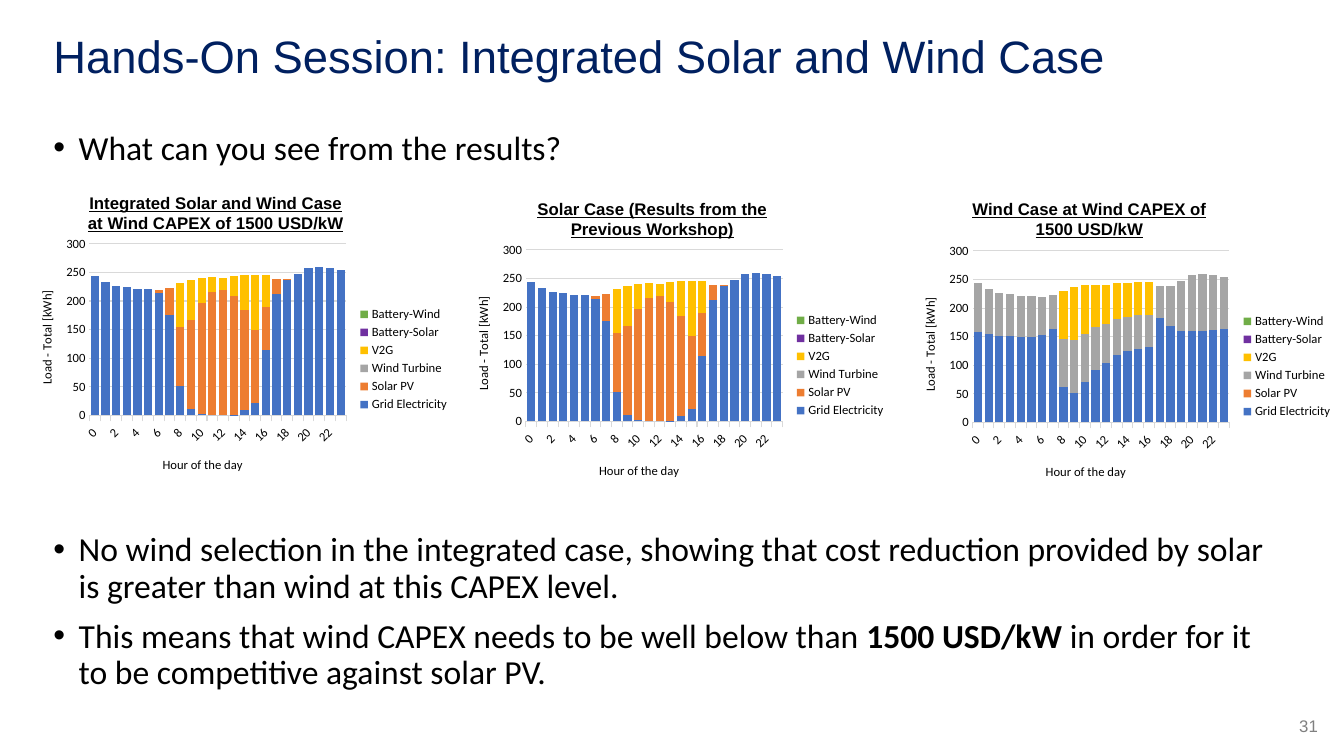
import pptx
import pptx.chart.data
import pptx.dml.color
import pptx.enum.chart
import pptx.enum.text
import pptx.oxml
import pptx.oxml.ns
import pptx.util

Inches = pptx.util.Inches
Pt = pptx.util.Pt
Align = pptx.enum.text.PP_ALIGN
Anchor = pptx.enum.text.MSO_ANCHOR
Tick = pptx.enum.chart.XL_TICK_MARK

HUES = {
    "title": "002060", "text": "000000", "page": "808080", "grid": "D9D9D9",
    "Grid Electricity": "4472C4", "Solar PV": "ED7D31", "Wind Turbine": "A5A5A5",
    "V2G": "FFC000", "Battery-Solar": "7030A0", "Battery-Wind": "70AD47",
}
SOURCES = ["Grid Electricity", "Solar PV", "Wind Turbine", "V2G", "Battery-Solar", "Battery-Wind"]
HOURS = 24
SOLAR = {
    "Grid Electricity": [243, 234, 227, 224, 221, 221, 214, 176, 52, 12, 2, 0,
                         0, 1, 10, 22, 114, 212, 238, 248, 258, 259, 257, 254],
    "Solar PV": [0] * 6 + [6, 47, 102, 155, 194, 216, 219, 207, 174, 127, 75, 27, 1] + [0] * 5,
    "V2G": [0] * 8 + [77, 70, 45, 26, 21, 35, 61, 96, 56] + [0] * 7,
}
BREEZE = [85, 80, 76, 73, 71, 71, 67, 59, 84, 93, 85, 75,
          68, 63, 60, 59, 57, 56, 71, 89, 99, 99, 96, 90]
WIND = {
    "Grid Electricity": [158, 154, 151, 151, 150, 150, 153, 164, 62, 51, 70, 91,
                         104, 117, 124, 128, 131, 183, 168, 159, 159, 160, 161, 164],
    "Wind Turbine": BREEZE,
    "V2G": [0] * 8 + BREEZE[8:17] + [0] * 7,
}
CASES = [
    ("Integrated Solar and Wind Case at Wind CAPEX of 1500 USD/kW", SOLAR,
     (0.14, 2.29), (0.8, 1.93, 2.68, 0.36)),
    ("Solar Case (Results from the Previous Workshop)", SOLAR,
     (4.47, 2.35), (5.13, 1.99, 2.68, 0.36)),
    ("Wind Case at Wind CAPEX of 1500 USD/kW", WIND,
     (8.9, 2.36), (9.54, 1.99, 2.53, 0.36)),
]
POINTS = [
    ["What can you see from the results?"],
    ["No wind selection in the integrated case, showing that cost reduction "
     "provided by solar is greater than wind at this CAPEX level."],
    ["This means that wind CAPEX needs to be well below than ", "1500 USD/kW",
     " in order for it to be competitive against solar PV."],
]
GAPS = [0, 261, 10]


def color(name):
    return pptx.dml.color.RGBColor.from_string(HUES[name])


def style(font, face, size, hue, bold=False):
    font.name, font.size, font.bold = face, Pt(size), bold
    font.color.rgb = color(hue)


def place(shape, box):
    shape.left, shape.top, shape.width, shape.height = map(Inches, box)


def add_label(slide, text, box, size, hue, align, head=False):
    frame = slide.shapes.add_textbox(*map(Inches, box)).text_frame
    frame.word_wrap = True
    frame.vertical_anchor = Anchor.MIDDLE
    if head:
        frame.margin_left = frame.margin_right = frame.margin_top = frame.margin_bottom = 0
    para = frame.paragraphs[0]
    para.text = text
    para.alignment = align
    style(para.font, "Arial", size, hue, head)
    para.font.underline = head


def set_layout(node, index, inner=False, **sizes):
    for old in node.findall(pptx.oxml.ns.qn("c:layout")):
        node.remove(old)
    target = '<c:layoutTarget val="inner"/>' if inner else ""
    modes = "".join(f'<c:{key}Mode val="edge"/>' for key in "xy")
    parts = "".join(f'<c:{key} val="{size}"/>' for key, size in sizes.items())
    node.insert(index, pptx.oxml.parse_xml(
        f'<c:layout {pptx.oxml.ns.nsdecls("c")}><c:manualLayout>'
        f'{target}{modes}{parts}</c:manualLayout></c:layout>'))


def name_axis(axis, text, x, y):
    axis.has_title = True
    para = axis.axis_title.text_frame.paragraphs[0]
    para.text = text
    style(para.font, "Calibri", 9, "text")
    set_layout(axis.axis_title._element, 1, x=x, y=y)
    style(axis.tick_labels.font, "Calibri", 9, "text")


def add_load(slide, spot, loads):
    data = pptx.chart.data.CategoryChartData()
    data.categories = [str(hour) for hour in range(HOURS)]
    for name in SOURCES:
        data.add_series(name, loads.get(name, [0] * HOURS))
    kind = pptx.enum.chart.XL_CHART_TYPE.COLUMN_STACKED
    chart = slide.shapes.add_chart(kind, *map(Inches, (*spot, 4.39, 2.58)), data).chart
    chart.has_title = False
    style(chart.font, "Calibri", 10, "text")
    plot = chart.plots[0]
    plot.gap_width, plot.overlap, plot.vary_by_categories = 30, 100, False
    for series in plot.series:
        series.format.fill.solid()
        series.format.fill.fore_color.rgb = color(series.name)
        series.invert_if_negative = False

    hours = chart.category_axis
    name_axis(hours, "Hour of the day", 0.33, 0.86)
    hours.major_tick_mark = Tick.OUTSIDE
    hours.tick_labels.font._element.getparent().getparent().getparent().find(
        pptx.oxml.ns.qn("a:bodyPr")).set("rot", "-2700000")
    skip = pptx.oxml.parse_xml(f'<c:tickLblSkip {pptx.oxml.ns.nsdecls("c")} val="2"/>')
    hours._element.find(pptx.oxml.ns.qn("c:noMultiLvlLbl")).addprevious(skip)

    total = chart.value_axis
    name_axis(total, "Load - Total [kWh]", 0.05, 0.22)
    total.minimum_scale, total.maximum_scale, total.major_unit = 0, 300, 50
    total.major_tick_mark = Tick.NONE
    total.format.line.fill.background()
    for line in (hours.format.line, total.major_gridlines.format.line):
        line.color.rgb = color("grid")
        line.width = Pt(0.75)

    chart.has_legend = True
    legend = chart.legend
    legend.position = pptx.enum.chart.XL_LEGEND_POSITION.RIGHT
    legend.include_in_layout = False
    style(legend.font, "Calibri", 9, "text")
    set_layout(legend._element, 1, x=0.77, y=0.28, w=0.22, h=0.43)
    set_layout(chart._chartSpace.chart.plotArea, 0, True, x=0.17, y=0.05, w=0.58, h=0.66)


def fill_title(shape):
    place(shape, (0.43, 0.19, 11.5, 0.78))
    frame = shape.text_frame
    frame.auto_size = pptx.enum.text.MSO_AUTO_SIZE.NONE
    frame.vertical_anchor = Anchor.MIDDLE
    para = frame.paragraphs[0]
    para.text = "Hands-On Session: Integrated Solar and Wind Case"
    para.alignment = Align.LEFT
    para.line_spacing = 0.9
    style(para.font, "Arial", 32.4, "title")


def fill_body(shape):
    place(shape, (0.43, 1.25, 12.33, 5.5))
    frame = shape.text_frame
    frame.auto_size = pptx.enum.text.MSO_AUTO_SIZE.NONE
    for index, (parts, gap) in enumerate(zip(POINTS, GAPS)):
        para = frame.add_paragraph() if index else frame.paragraphs[0]
        props = para._p.get_or_add_pPr()
        props.set("marL", str(Inches(0.25)))
        props.set("indent", str(Inches(-0.25)))
        para.line_spacing = 0.9
        para.space_before = Pt(gap)
        style(para.font, "Calibri", 24, "text")
        for spot, text in enumerate(parts):
            run = para.add_run()
            run.text = text
            if spot == 1:
                run.font.bold = True


def main():
    deck = pptx.Presentation()
    deck.slide_width, deck.slide_height = Inches(13.33), Inches(7.5)
    slide = deck.slides.add_slide(deck.slide_layouts[1])
    fill_title(slide.shapes.title)
    fill_body(slide.placeholders[1])
    for head, loads, spot, box in CASES:
        add_load(slide, spot, loads)
        add_label(slide, head, box, 12, "text", Align.CENTER, True)
    add_label(slide, "31", (12.61, 7, 0.56, 0.4), 12, "page", Align.RIGHT)
    deck.save("out.pptx")


if __name__ == "__main__":
    main()
